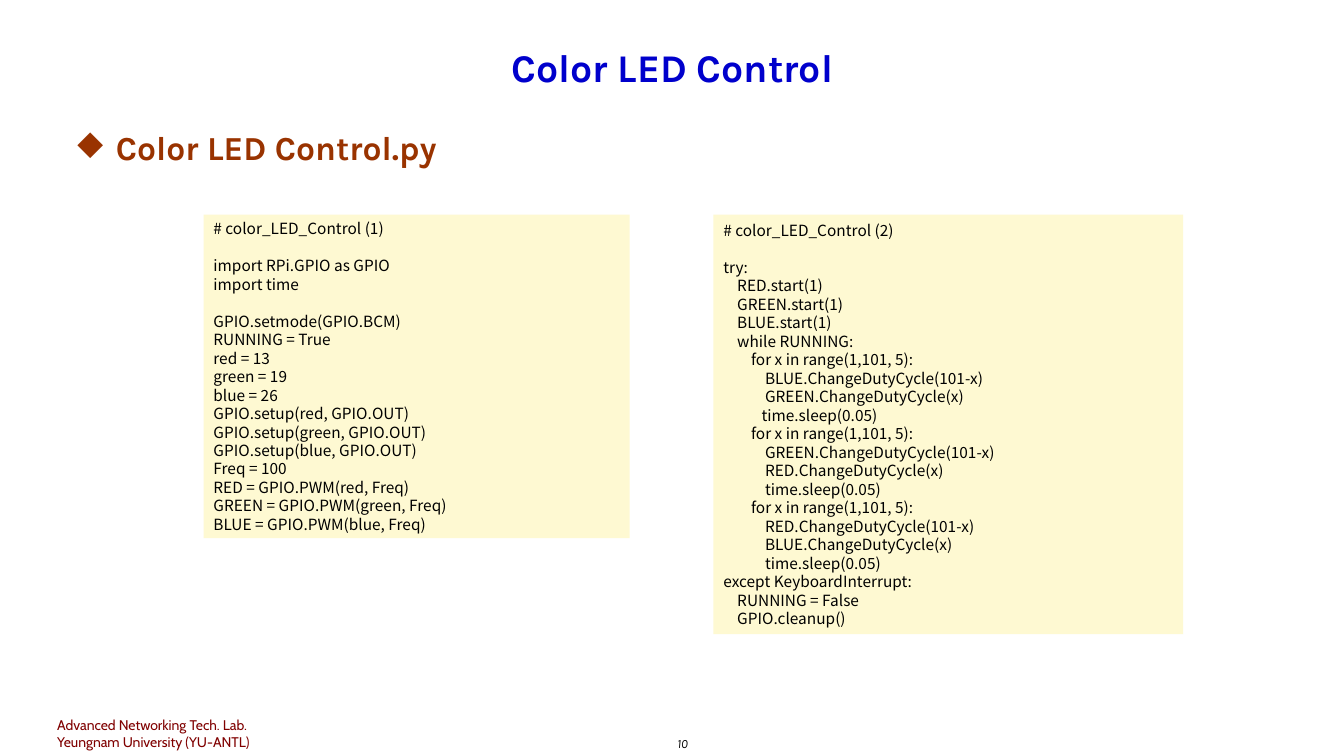
"""Build the Color LED Control slide with its two code listings."""
from lxml import etree
from pptx import Presentation
from pptx.dml.color import RGBColor
from pptx.enum.shapes import MSO_SHAPE
from pptx.enum.text import MSO_ANCHOR, PP_ALIGN
from pptx.oxml.ns import qn
from pptx.util import Cm, Pt

RECTANGLE = MSO_SHAPE.RECTANGLE
TOP, MIDDLE = MSO_ANCHOR.TOP, MSO_ANCHOR.MIDDLE
LEFT, CENTER = PP_ALIGN.LEFT, PP_ALIGN.CENTER
CODE_PITCH = Pt(13.2)
SPACE_WIDTH = Cm(0.0875)

SETUP_CODE = """# color_LED_Control (1)

import RPi.GPIO as GPIO
import time

GPIO.setmode(GPIO.BCM)
RUNNING = True
red = 13
green = 19
blue = 26
GPIO.setup(red, GPIO.OUT)
GPIO.setup(green, GPIO.OUT)
GPIO.setup(blue, GPIO.OUT)
Freq = 100
RED = GPIO.PWM(red, Freq)
GREEN = GPIO.PWM(green, Freq)
BLUE = GPIO.PWM(blue, Freq)"""

LOOP_CODE = """# color_LED_Control (2)

try:
    RED.start(1)
    GREEN.start(1)
    BLUE.start(1)
    while RUNNING:
        for x in range(1,101, 5):
            BLUE.ChangeDutyCycle(101-x)
            GREEN.ChangeDutyCycle(x)
           time.sleep(0.05)
        for x in range(1,101, 5):
            GREEN.ChangeDutyCycle(101-x)
            RED.ChangeDutyCycle(x)
            time.sleep(0.05)
        for x in range(1,101, 5):
            RED.ChangeDutyCycle(101-x)
            BLUE.ChangeDutyCycle(x)
            time.sleep(0.05)
except KeyboardInterrupt:
    RUNNING = False
    GPIO.cleanup()"""


def rgb(hex_color):
    """Turn a hex string into a colour."""
    return RGBColor.from_string(hex_color)


def write(shape, text, size, color, font="Karla", bold=False, italic=False,
          align=LEFT, anchor=TOP, pitch=None, wrap=True):
    """Fill a shape with lines; blank lines and leading spaces become spacing and indents."""
    frame = shape.text_frame
    frame.word_wrap = wrap
    frame.vertical_anchor = anchor
    paragraph, gap = None, 0
    for line in text.split("\n"):
        if not line:
            gap += pitch
            continue
        paragraph = frame.add_paragraph() if paragraph else frame.paragraphs[0]
        paragraph.alignment = align
        paragraph.space_before = gap
        gap = 0
        if pitch:
            paragraph.line_spacing = pitch
        code = line.lstrip()
        indent = (len(line) - len(code)) * SPACE_WIDTH
        if indent:
            paragraph._p.get_or_add_pPr().set("marL", str(indent))
        run = paragraph.add_run()
        run.text = code
        run.font.name, run.font.size = font, Pt(size)
        run.font.bold, run.font.italic = bold, italic
        run.font.color.rgb = rgb(color)
    return paragraph


prs = Presentation()
prs.slide_width, prs.slide_height = Cm(33.87), Cm(19.05)
slide = prs.slides.add_slide(prs.slide_layouts[6])
shapes = slide.shapes

lab = shapes.add_textbox(Cm(1.19), Cm(17.93), Cm(7.26), Cm(1.12))
write(lab, "Advanced Networking Tech. Lab.\nYeungnam University (YU-ANTL)",
      10, "800000", font="Cabin")

page_number = shapes.add_textbox(Cm(16.71), Cm(18.42), Cm(0.99), Cm(0.63))
write(page_number, "10", 9, "000000", italic=True, align=CENTER, wrap=False)

title = shapes.add_textbox(Cm(1.7), Cm(0.76), Cm(30.48), Cm(1.83))
write(title, "Color LED Control", 28, "0000CC", bold=True, align=CENTER, anchor=MIDDLE)

file_heading = shapes.add_textbox(Cm(1.7), Cm(3.07), Cm(30.48), Cm(1.5))
heading = write(file_heading, "Color LED Control.py", 24, "993300", bold=True)
heading_format = heading._p.get_or_add_pPr()
heading_format.set("marL", str(Cm(0.97)))
heading_format.set("indent", str(-Cm(0.97)))
etree.SubElement(heading_format, qn("a:buChar")).set("char", "◆")

for code, left, width, height in [(SETUP_CODE, 5.13, 10.74, 8.15),
                                  (LOOP_CODE, 17.98, 11.84, 10.57)]:
    listing = shapes.add_shape(RECTANGLE, Cm(left), Cm(5.41), Cm(width), Cm(height))
    listing.shadow.inherit = False
    listing.fill.solid()
    listing.fill.fore_color.rgb = rgb("FEF9D2")
    listing.line.fill.background()
    write(listing, code, 11, "000000", font="Noto Sans CJK KR",
          anchor=MIDDLE, pitch=CODE_PITCH)

prs.save("out.pptx")
